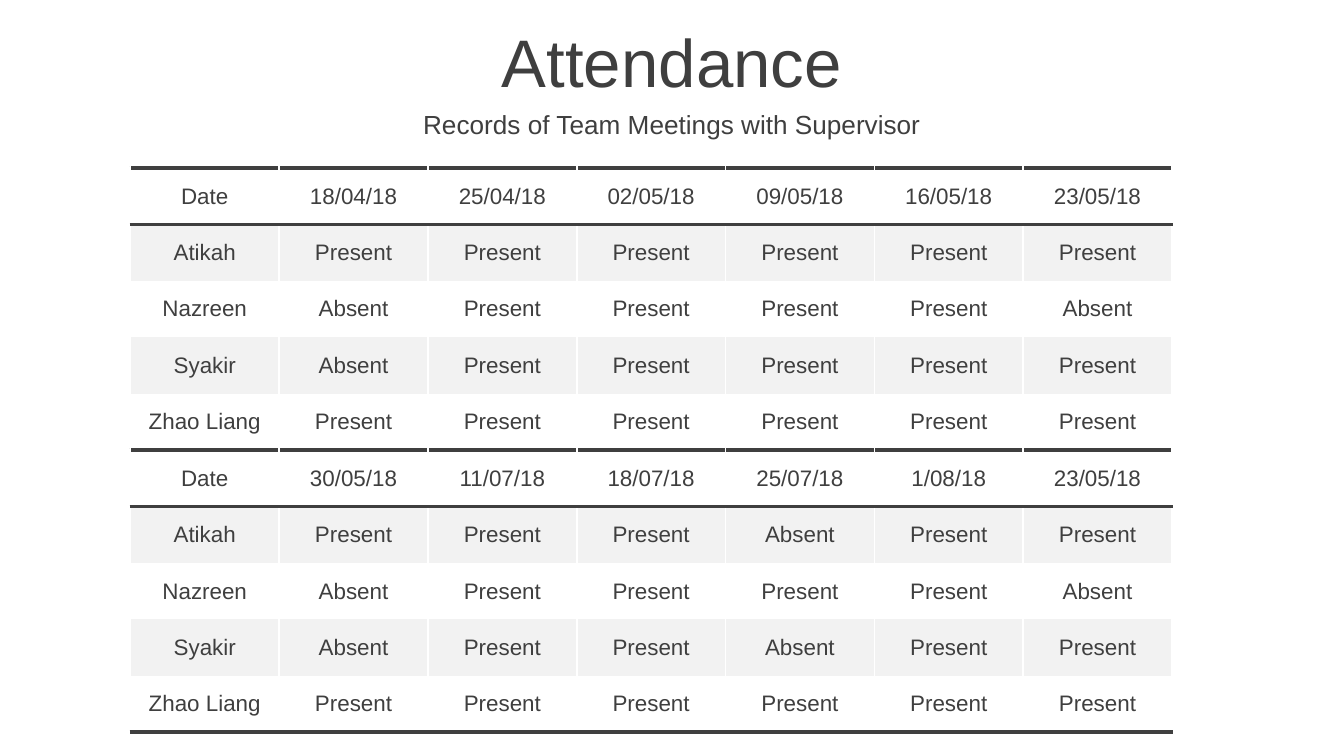
from dataclasses import dataclass

from lxml.etree import SubElement
from pptx import Presentation
from pptx.dml.color import RGBColor
from pptx.enum.text import MSO_ANCHOR as Anchor, PP_ALIGN as Align
from pptx.oxml.ns import qn
from pptx.util import Inches, Pt


@dataclass(frozen=True)
class Theme:
    font: str = "Arial"
    ink: str = "3F3F3F"
    paper: str = "FFFFFF"
    band: str = "F2F2F2"
    title_size: float = 36
    subtitle_size: float = 14
    table_size: float = 12
    rule: float = 2.25
    name_divider: float = 1.5
    divider: float = 1


THEME = Theme()

SPRING = [
    ["Date", "18/04/18", "25/04/18", "02/05/18", "09/05/18", "16/05/18", "23/05/18"],
    ["Atikah"] + ["Present"] * 6,
    ["Nazreen", "Absent"] + ["Present"] * 4 + ["Absent"],
    ["Syakir", "Absent"] + ["Present"] * 5,
    ["Zhao Liang"] + ["Present"] * 6,
]
SUMMER = [
    ["Date", "30/05/18", "11/07/18", "18/07/18", "25/07/18", "1/08/18", "23/05/18"],
    ["Atikah"] + ["Present"] * 3 + ["Absent"] + ["Present"] * 2,
    ["Nazreen", "Absent"] + ["Present"] * 4 + ["Absent"],
    ["Syakir", "Absent"] + ["Present"] * 2 + ["Absent"] + ["Present"] * 2,
    ["Zhao Liang"] + ["Present"] * 6,
]


def write_text(text_frame, text, size):
    text_frame.text = text
    paragraph = text_frame.paragraphs[0]
    paragraph.alignment = Align.CENTER
    font = paragraph.runs[0].font
    font.name = THEME.font
    font.size = Pt(size)
    font.color.rgb = RGBColor.from_string(THEME.ink)


def add_heading(slide, text, left, top, height, size):
    box = slide.shapes.add_textbox(Inches(left), Inches(top), Inches(10), Inches(height))
    box.text_frame.word_wrap = True
    box.text_frame.vertical_anchor = Anchor.MIDDLE
    write_text(box.text_frame, text, size)


def set_border(cell, side, color, width):
    """Draw one side of a cell; a width of zero leaves it without a line."""
    properties = cell._tc.get_or_add_tcPr()
    line = SubElement(properties, qn(f"a:ln{side}"), w=str(Pt(width)))
    if width:
        fill = SubElement(line, qn("a:solidFill"))
        SubElement(fill, qn("a:srgbClr"), val=color)
    else:
        SubElement(line, qn("a:noFill"))


def style_cell(cell, row, column, last_row):
    # Borders come before the fill in the cell properties
    set_border(cell, "L", THEME.paper, THEME.name_divider if column == 1 else THEME.divider)
    set_border(cell, "R", THEME.paper, THEME.name_divider if column == 0 else THEME.divider)
    set_border(cell, "T", THEME.ink, THEME.rule if row <= 1 else 0)
    set_border(cell, "B", THEME.ink, THEME.rule if row in (0, last_row) else 0)
    cell.fill.solid()
    cell.fill.fore_color.rgb = RGBColor.from_string(THEME.band if row % 2 else THEME.paper)
    cell.vertical_anchor = Anchor.MIDDLE


def add_attendance_table(slide, records, top):
    table = slide.shapes.add_table(
        len(records), len(records[0]),
        Inches(0.97), Inches(top), Inches(7.75), Inches(2.1),
    ).table
    table.first_row = False
    table.horz_banding = False
    for row, values in enumerate(records):
        for column, value in enumerate(values):
            cell = table.cell(row, column)
            write_text(cell.text_frame, value, THEME.table_size)
            style_cell(cell, row, column, len(records) - 1)


def main():
    # Widescreen slide, 16 to 9
    presentation = Presentation()
    presentation.slide_width = Inches(10)
    presentation.slide_height = presentation.slide_width * 9 // 16
    slide = presentation.slides.add_slide(presentation.slide_layouts[6])

    # Headings
    add_heading(slide, "Attendance", 0, 0.14, 0.63, THEME.title_size)
    add_heading(slide, "Records of Team Meetings with Supervisor", 0, 0.77, 0.31,
                THEME.subtitle_size)

    # Attendance records, one table above the other
    add_attendance_table(slide, SPRING, 1.25)
    add_attendance_table(slide, SUMMER, 3.35)

    presentation.save("out.pptx")


if __name__ == "__main__":
    main()
